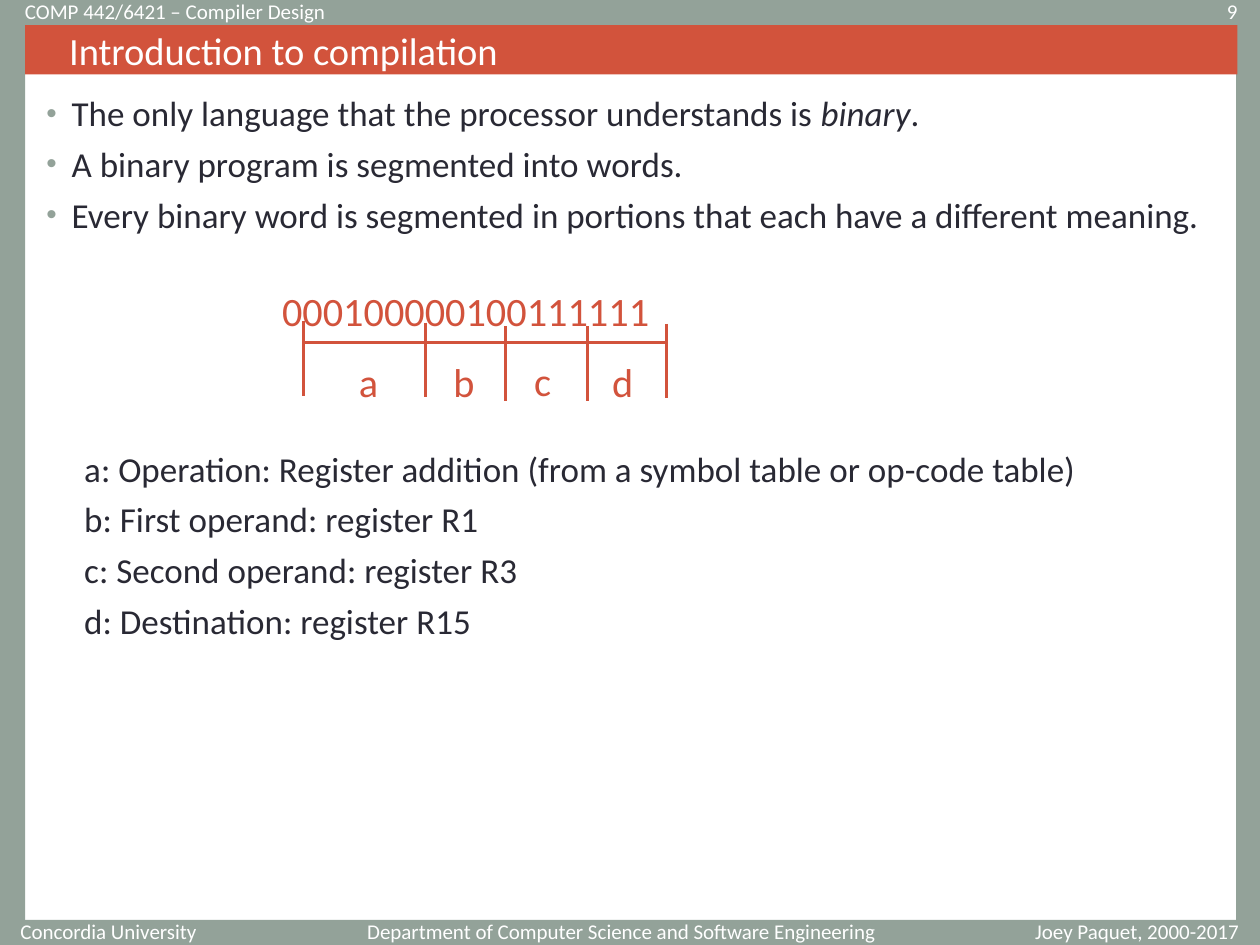
from lxml import etree
from pptx import Presentation
from pptx import util as u
from pptx.dml.color import RGBColor
from pptx.enum import shapes, text
from pptx.oxml import ns

SAGE = RGBColor(0x93, 0xA2, 0x99)
RED = RGBColor(0xD2, 0x53, 0x3C)
INK = RGBColor(0x29, 0x29, 0x34)
WHITE = RGBColor(0xFF, 0xFF, 0xFF)
LEFT, MID, RIGHT = text.PP_ALIGN.LEFT, text.PP_ALIGN.CENTER, text.PP_ALIGN.RIGHT


class Deck:
    """Draws styled elements on the current slide."""

    font = "Calibri"

    def __init__(self, wide, high):
        self.prs = Presentation()
        self.prs.slide_width, self.prs.slide_height = u.Inches(wide), u.Inches(high)
        self.slide = self.prs.slides.add_slide(self.prs.slide_layouts[6])

    def band(self, spot, color):
        shape = self.slide.shapes.add_shape(
            shapes.MSO_SHAPE.RECTANGLE, *map(u.Inches, spot))
        shape.shadow.inherit = False
        shape.line.fill.background()
        shape.fill.solid()
        shape.fill.fore_color.rgb = color
        return shape

    def phrase(self, para, parts, size, color, align=LEFT):
        para.alignment = align
        for words, slant in parts:
            run = para.add_run()
            run.text = words
            run.font.name, run.font.size = self.font, u.Pt(size)
            run.font.italic = slant
            run.font.color.rgb = color

    def title(self, spot, words):
        frame = self.band(spot, RED).text_frame
        frame.vertical_anchor = text.MSO_ANCHOR.MIDDLE
        para = frame.paragraphs[0]
        para._p.get_or_add_pPr().set("marL", str(u.Inches(0.25)))
        self.phrase(para, [(words, False)], 22, WHITE)

    def box(self, spot, wrap=True):
        frame = self.slide.shapes.add_textbox(*map(u.Inches, spot)).text_frame
        frame.word_wrap = wrap
        return frame

    def label(self, spot, words, align):
        frame = self.box(spot)
        frame.vertical_anchor = text.MSO_ANCHOR.MIDDLE
        self.phrase(frame.paragraphs[0], [(words, False)], 12, WHITE, align)

    def code(self, spot, words):
        frame = self.box(spot, False)
        self.phrase(frame.paragraphs[0], [(words, False)], 23, RED)

    def bullet(self, para):
        props = para._p.get_or_add_pPr()
        props.set("marL", str(u.Inches(0.2)))
        props.set("indent", str(u.Inches(-0.2)))
        tint = etree.SubElement(props, ns.qn("a:buClr"))
        etree.SubElement(tint, ns.qn("a:srgbClr"), val=str(SAGE))
        etree.SubElement(props, ns.qn("a:buSzPct"), val="85000")
        etree.SubElement(props, ns.qn("a:buFont"), typeface="Arial")
        etree.SubElement(props, ns.qn("a:buChar"), char="•")

    def rows(self, spot, lines, dots=False):
        frame = self.box(spot)
        for i, parts in enumerate(lines):
            para = frame.add_paragraph() if i else frame.paragraphs[0]
            if dots:
                self.bullet(para)
            para.space_before = u.Pt(5 if i else 0)
            self.phrase(para, parts, 20, INK)

    def line(self, *ends):
        rule = self.slide.shapes.add_connector(
            shapes.MSO_CONNECTOR.STRAIGHT, *map(u.Inches, ends))
        rule.line.color.rgb, rule.line.width = RED, u.Pt(1.75)
        etree.SubElement(rule._element.spPr, ns.qn("a:effectLst"))


def main():
    deck = Deck(10, 7.5)
    for spot in ((0, 0, 10, 0.2), (0, 7.3, 10, 0.2),
                 (0, 0, 0.2, 7.44), (9.81, 0.18, 0.19, 7.32)):
        deck.band(spot, SAGE)
    deck.title((0.2, 0.2, 9.62, 0.39), "Introduction to compilation")

    for left, top, wide, words, align in (
            (0.03, 7.33, 1.63, "Concordia University", RIGHT),
            (2.8, 7.33, 4.25,
             "Department of Computer Science and Software Engineering", RIGHT),
            (7.99, 7.33, 2.07, "Joey Paquet, 2000-2017", MID),
            (8.75, 0.03, 1.17, "9", RIGHT),
            (0.1, 0.03, 5.6, "COMP 442/6421 – Compiler Design", LEFT)):
        deck.label((left, top, wide, 0.12), words, align)

    deck.rows((0.27, 0.68, 9.45, 1.3), [
        [("The only language that the processor understands is ", False),
         ("binary", True), (".", False)],
        [("A binary program is segmented into words.", False)],
        [("Every binary word is segmented in portions that each have a "
          "different meaning.", False)],
    ], dots=True)
    deck.rows((0.57, 3.5, 9.15, 1.7), [[(words, False)] for words in (
        "a: Operation: Register addition (from a symbol table or op-code table)",
        "b: First operand: register R1",
        "c: Second operand: register R3",
        "d: Destination: register R15")])

    deck.code((2.14, 2.22, 3.49, 0.49), "000100000100111111")
    joints = (2.41, 3.41, 4.07, 4.74, 5.29)
    for start, end in zip(joints, joints[1:]):
        deck.line(start, 2.72, end, 2.72)
    for name, left, top in (("a", 2.75, 2.79), ("b", 3.5, 2.79),
                            ("c", 4.14, 2.78), ("d", 4.76, 2.79)):
        deck.code((left, top, 0.38, 0.49), name)
    for x, top in ((2.41, 2.55), (3.38, 2.56), (4.01, 2.59),
                   (4.66, 2.59), (5.29, 2.57)):
        deck.line(x, top, x, top + 0.59)

    deck.prs.save("out.pptx")


if __name__ == "__main__":
    main()
